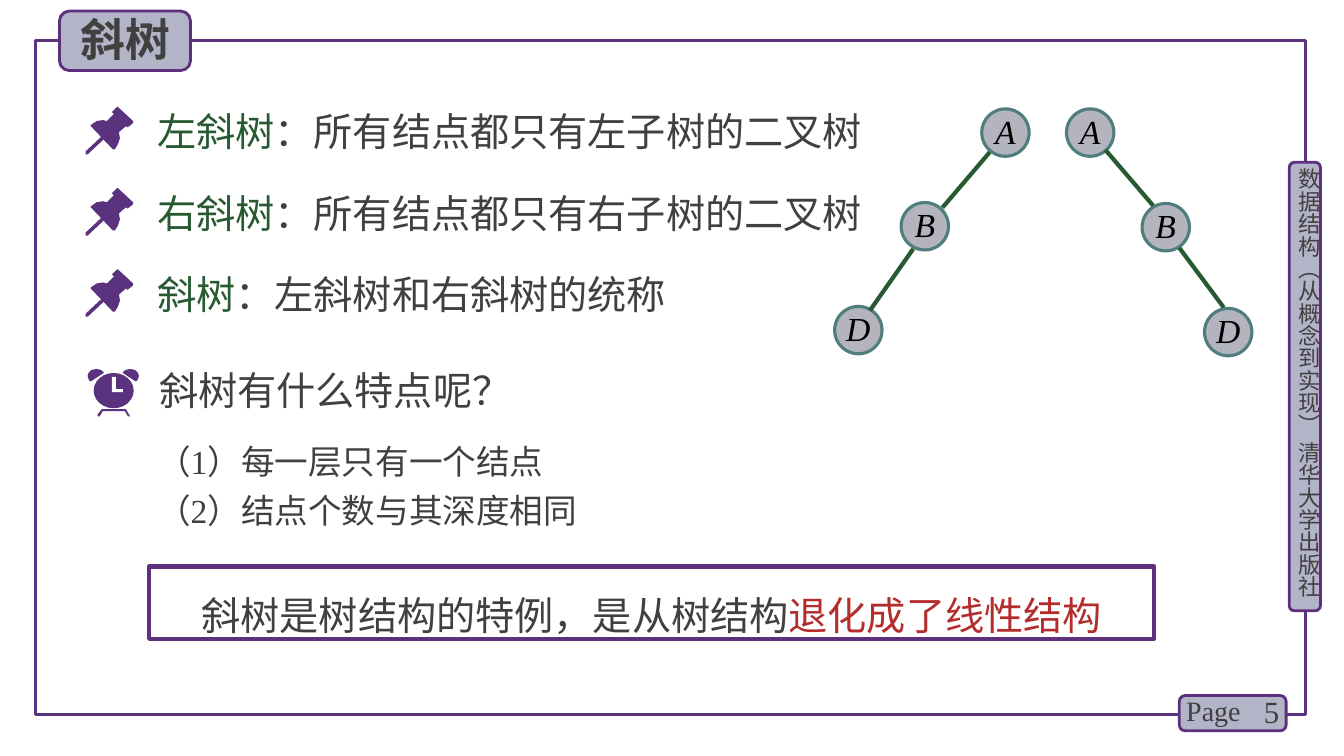
import pptx
import pptx.dml.color
import pptx.enum.shapes
import pptx.enum.text
import pptx.oxml
import pptx.util

Pt = pptx.util.Pt
Shape = pptx.enum.shapes.MSO_SHAPE
Align = pptx.enum.text.PP_ALIGN
Anchor = pptx.enum.text.MSO_ANCHOR
NAMESPACE = 'xmlns:a="http://schemas.openxmlformats.org/drawingml/2006/main"'

PURPLE, BORDER, PANEL = "5A327D", "5C307D", "B4B4C8"
GREEN, DARK, RED = "285A32", "404040", "B42D2D"
SANS, SERIF = "Noto Sans CJK SC", "Times New Roman"

HUNDREDTH = 0.72
PIN_HEAD = [(47, 14), (32, 0), (31, 0), (26, 5), (28, 7), (21, 14), (17, 13), (11, 14),
            (5, 18), (5, 19), (27, 42), (29, 42), (32, 37), (34, 31), (33, 25), (40, 19),
            (41, 20), (42, 20), (47, 16)]
PIN_NEEDLE = [(2, 47), (0, 47), (0, 44), (16, 29), (18, 29), (18, 32)]
BELL = [(9, 0), (4, 1), (1, 4), (0, 7), (1, 10), (2, 12), (4, 12), (16, 4), (16, 3), (13, 1)]
CLOCK_FEET = [(41, 45), (38, 40), (14, 40), (10, 45), (10, 47), (12, 47), (15, 42),
              (37, 42), (40, 47), (42, 47)]
CLOCK_HANDS = [(24, 8), (28, 8), (28, 20), (35, 20), (35, 23), (24, 23)]


def color(value):
    return pptx.dml.color.RGBColor.from_string(value)


class SlideBuilder:
    def __init__(self, page):
        self.page = page
        self.font = {"name": SANS, "size": Pt(28), "bold": False, "italic": False}

    def paint(self, shape, fill, line, width):
        shape.shadow.inherit = False
        if fill:
            shape.fill.solid()
            shape.fill.fore_color.rgb = color(fill)
        else:
            shape.fill.background()
        if line:
            shape.line.color.rgb = color(line)
            shape.line.width = Pt(width)
        else:
            shape.line.fill.background()
        return shape

    def shape(self, kind, left, top, width, height, fill=None, line=None, weight=2):
        box = self.page.shapes.add_shape(kind, Pt(left), Pt(top), Pt(width), Pt(height))
        return self.paint(box, fill, line, weight)

    def outline(self, left, top, points, fill=PURPLE):
        builder = self.page.shapes.build_freeform(*points[0], scale=Pt(HUNDREDTH))
        builder.add_line_segments(points[1:], close=True)
        return self.paint(builder.convert_to_shape(Pt(left), Pt(top)), fill, None, 0)

    def fill_text(self, box, paragraphs, margins=(7.2, 3.6), anchor=Anchor.TOP, layout=None,
                  **font):
        frame = box.text_frame
        across, down = (Pt(margin) for margin in margins)
        settings = {"word_wrap": True, "vertical_anchor": anchor, "margin_left": across,
                    "margin_right": across, "margin_top": down, "margin_bottom": down}
        for name, value in settings.items():
            setattr(frame, name, value)
        for index, spans in enumerate(paragraphs):
            para = frame.add_paragraph() if index else frame.paragraphs[0]
            for name, value in {"alignment": Align.LEFT, **(layout or {})}.items():
                setattr(para, name, value)
            for text, ink, *face in spans:
                span = para.add_run()
                span.text = text
                chosen = {**self.font, **font}
                if face:
                    chosen["name"] = face[0]
                for name, value in chosen.items():
                    setattr(span.font, name, value)
                span.font.color.rgb = color(ink)
                east = pptx.oxml.parse_xml(f'<a:ea {NAMESPACE} typeface="{SANS}"/>')
                span.font._element.find(
                    "{http://schemas.openxmlformats.org/drawingml/2006/main}latin").addnext(east)

    def text(self, left, top, width, height, paragraphs, **options):
        box = self.page.shapes.add_textbox(Pt(left), Pt(top), Pt(width), Pt(height))
        self.fill_text(box, paragraphs, **options)
        return box

    def edge(self, start, end):
        line = self.page.shapes.add_connector(
            pptx.enum.shapes.MSO_CONNECTOR.STRAIGHT, *map(Pt, start + end))
        line.line.color.rgb = color(GREEN)
        line.line.width = Pt(3)
        line._element.spPr.append(pptx.oxml.parse_xml(f"<a:effectLst {NAMESPACE}/>"))

    def node(self, label, left, top):
        circle = self.shape(Shape.OVAL, left, top, 33.84, 33.84, "B4B4BE", "507D7D", 2.25)
        self.fill_text(circle, [[(label, "000000")]], margins=(0, 0),
                       layout={"alignment": Align.CENTER, "line_spacing": Pt(25)},
                       name=SERIF, size=Pt(24), italic=True)

    def tree(self, nodes, edges):
        for label, place in zip("ABD", nodes):
            self.node(label, *place)
        for start, end in edges:
            self.edge(start, end)

    def definition(self, top, term, meaning):
        self.text(112.32, top, 517.7, 47.5, [[(term, GREEN), (meaning, DARK)]],
                  margins=(0, 3.6), layout={"line_spacing": Pt(40)}, name=SERIF)
        for part in (PIN_HEAD, PIN_NEEDLE):
            self.outline(61.2, top + 9.4, part)

    def clock(self, left, top):
        for part in (CLOCK_FEET, BELL, [(51 - x, y) for x, y in BELL]):
            self.outline(left, top, part)
        self.shape(Shape.OVAL, left + 4.3, top + 2.9, 28.6, 25.2, PURPLE)
        self.outline(left, top, CLOCK_HANDS, "FFFFFF")


def main():
    deck = pptx.Presentation()
    deck.slide_width, deck.slide_height = Pt(960), Pt(540)
    page = deck.slides.add_slide(deck.slide_layouts[6])
    builder = SlideBuilder(page)

    builder.shape(Shape.RECTANGLE, 25.2, 28.8, 907.2, 481.7, line=PURPLE, weight=2.25)
    for place in ((920.9, 115.9, 22.3, 320.4), (842.4, 496.8, 76.3, 25.2),
                  (42.5, 7.9, 93.6, 42.5)):
        builder.shape(Shape.ROUNDED_RECTANGLE, *place, PANEL, BORDER)
    book = builder.text(925.2, 120.2, 19.4, 323.3,
                        [[("数据结构（从概念到实现） 清华大学出版社", DARK)]],
                        margins=(0, 0), size=Pt(16))
    book.text_frame._txBody.bodyPr.set("vert", "eaVert")
    builder.text(878.4, 493.9, 42.5, 28.8, [[("5", DARK)]], anchor=Anchor.MIDDLE,
                 layout={"alignment": Align.RIGHT}, name=SERIF, size=Pt(22))
    builder.text(840.2, 491.8, 56.2, 31.7, [[("Page", DARK)]], name=SERIF, size=Pt(20))
    builder.text(50.4, 5, 85.7, 46.1, [[("斜树", DARK)]], size=Pt(32), bold=True)

    definitions = [("左斜树", "：所有结点都只有左子树的二叉树"),
                   ("右斜树", "：所有结点都只有右子树的二叉树"),
                   ("斜树", "：左斜树和右斜树的统称")]
    for row, (term, meaning) in enumerate(definitions):
        builder.definition(67 + 58 * row, term, meaning)

    builder.tree([(701.3, 77.8), (643.7, 144.7), (596.2, 218.9)],
                 [((707, 108.7), (673.2, 148.3)), ((652.3, 177.8), (621.4, 221.8))])
    builder.tree([(761.8, 77.8), (815.8, 145.4), (860.4, 220.3)],
                 [((823.7, 146.9), (789.8, 107.3)), ((874.1, 219.6), (842.4, 177.1))])

    builder.text(106.6, 257.8, 377.3, 41, [[("斜树有什么特点呢？", DARK)]])
    builder.clock(62.6, 263.5)
    features = ["每一层只有一个结点", "结点个数与其深度相同"]
    builder.text(105.1, 305.3, 357.1, 77.8,
                 [[(f"（{number}）", DARK, SERIF), (feature, DARK)]
                  for number, feature in enumerate(features, 1)],
                 layout={"line_spacing": Pt(35)}, size=Pt(24))

    summary = builder.shape(Shape.RECTANGLE, 106.6, 404.6, 717.8, 51.8, line=BORDER, weight=3)
    builder.fill_text(summary,
                      [[("斜树是树结构的特例，是从树结构", DARK), ("退化成了线性结构", RED)]],
                      anchor=Anchor.MIDDLE,
                      layout={"alignment": Align.CENTER, "line_spacing": 1.5})
    deck.save("out.pptx")


if __name__ == "__main__":
    main()
